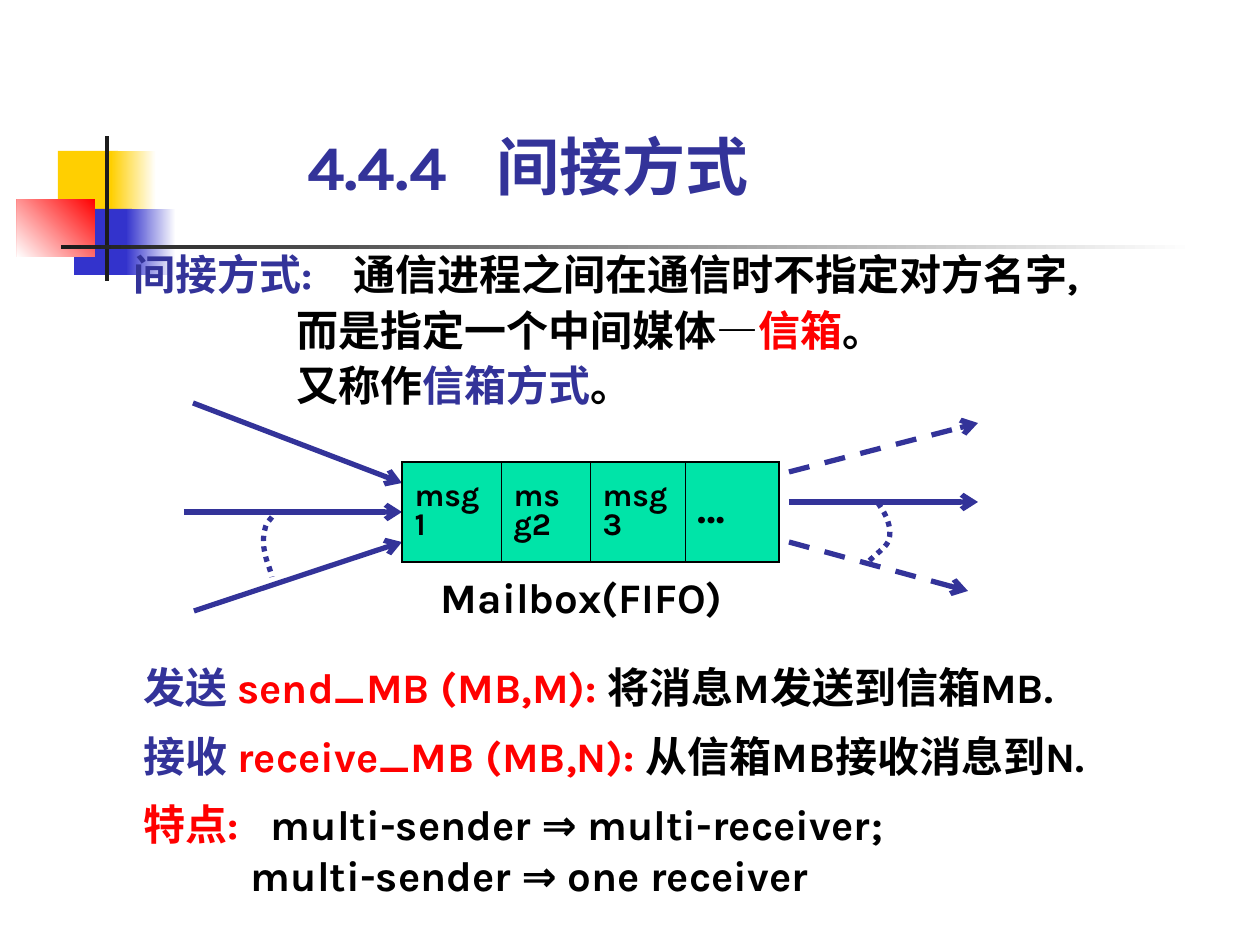
from lxml import etree
from pptx import Presentation
from pptx import util as u
from pptx.dml.color import RGBColor
from pptx.enum import dml, shapes, text
from pptx.oxml import ns

PX = 914400 / 126
FONT = "Karla"
NAVY, RED, BLACK, WHITE = "333399", "FF0000", "000000", "FFFFFF"
GOLD, BLUE, DARK, GREEN = "FFCF01", "3333CC", "1C1C1C", "00E4A8"


def px(*vals):
    """Turn pixel lengths into EMU."""
    return [u.Emu(round(v * PX)) for v in vals]


def hue(code):
    """Turn a hex string into a colour."""
    return RGBColor.from_string(code)


def sub(node, tag, **attrs):
    """Append a drawing element to a node."""
    child = etree.SubElement(node, ns.qn(tag))
    for key, val in attrs.items():
        child.set(key, str(val))
    return child


def style(run, size, code):
    """Format one run of text."""
    run.font.name, run.font.size, run.font.bold = FONT, u.Pt(size), True
    run.font.color.rgb = hue(code)


def block(slide, box, fill, angle=180):
    """Draw a plain box, with a gradient if two colours are given."""
    shape = slide.shapes.add_shape(shapes.MSO_SHAPE.RECTANGLE, *px(*box))
    shape.shadow.inherit = False
    shape.line.fill.background()
    if isinstance(fill, str):
        shape.fill.solid()
        shape.fill.fore_color.rgb = hue(fill)
        return
    shape.fill.gradient()
    shape.fill.gradient_angle = angle
    for stop, code in zip(shape.fill.gradient_stops, fill):
        stop.color.rgb = hue(code)


def write(frame, lines, size=24, space=1.0, indent=0, tab=0):
    """Fill a frame with lines of coloured runs, indenting all but the first."""
    frame.word_wrap = True
    frame.auto_size = text.MSO_AUTO_SIZE.NONE
    frame.margin_left = frame.margin_right = 0
    frame.margin_top = frame.margin_bottom = 0
    for row, parts in enumerate(lines):
        para = frame.add_paragraph() if row else frame.paragraphs[0]
        para.alignment = text.PP_ALIGN.LEFT
        para.line_spacing = space
        props = para._p.get_or_add_pPr()
        if row:
            props.set("marL", str(px(indent)[0]))
            props.set("indent", "0")
        elif tab:
            sub(sub(props, "a:tabLst"), "a:tab", pos=px(tab)[0], algn="l")
        for words, code in parts:
            run = para.add_run()
            run.text = words
            style(run, size, code)


def note(slide, box, lines, **kind):
    """Add a text box."""
    write(slide.shapes.add_textbox(*px(*box)).text_frame, lines, **kind)


def head(slide):
    """Place the title."""
    title = slide.shapes.title
    title.left, title.top, title.width, title.height = px(307, 127, 471, 76)
    title.text_frame.vertical_anchor = text.MSO_ANCHOR.BOTTOM
    write(title.text_frame, [[("4.4.4\t间接方式", NAVY)]], size=36, tab=189)


def pen(shape, dash=None):
    """Set the line of an arrow or arc."""
    shape.line.color.rgb = hue(NAVY)
    shape.line.width = u.Pt(3)
    if dash:
        shape.line.dash_style = dash


def arrow(group, ends, dash=None):
    """Draw an arrow between two points."""
    line = group.shapes.add_connector(shapes.MSO_CONNECTOR.STRAIGHT, *px(*ends))
    pen(line, dash)
    sub(line.line._get_or_add_ln(), "a:tailEnd", type="arrow")
    sub(line._element.spPr, "a:effectLst")


def curve(knots, steps=8):
    """Sample a chain of cubic curves into points."""
    points = [knots[0]]
    for i in range(0, len(knots) - 1, 3):
        for k in range(1, steps + 1):
            t = k / steps
            mix = ((1 - t) ** 3, 3 * t * (1 - t) ** 2, 3 * t * t * (1 - t), t ** 3)
            points.append(tuple(sum(m * q[a] for m, q in zip(mix, knots[i:i + 4]))
                                for a in (0, 1)))
    return points


def arc(group, knots):
    """Draw a dotted open arc."""
    points = [px(*q) for q in curve(knots)]
    path = group.shapes.build_freeform(*points[0], scale=1.0)
    path.add_line_segments(points[1:], close=False)
    shape = path.convert_to_shape()
    shape.shadow.inherit = False
    shape.fill.background()
    pen(shape, dml.MSO_LINE.ROUND_DOT)


def flow(slide, arrows, knots):
    """Group the arrows of one side with their arc."""
    group = slide.shapes.add_group_shape()
    for ends, dash in arrows:
        arrow(group, ends, dash)
    arc(group, knots)


def edge(cell, thick):
    """Draw the cell borders, heavier on the named sides."""
    props = cell._tc.get_or_add_tcPr()
    for side in "LRTB":
        width = 1.08 if side in thick else 0.45
        line = sub(props, "a:ln" + side, w=u.Pt(width))
        sub(sub(line, "a:solidFill"), "a:srgbClr", val=BLACK)


def queue(slide, labels, widths):
    """Draw the mailbox as a one-row table."""
    frame = slide.shapes.add_table(1, len(labels), *px(402, 462, sum(widths), 100))
    table = frame.table
    table.first_row = table.horz_banding = False
    for i, (label, width) in enumerate(zip(labels, widths)):
        table.columns[i].width = px(width)[0]
        cell = table.cell(0, i)
        edge(cell, "TB" + "L" * (i == 0) + "R" * (i == len(labels) - 1))
        cell.fill.solid()
        cell.fill.fore_color.rgb = hue(GREEN)
        cell.vertical_anchor = text.MSO_ANCHOR.MIDDLE
        para = cell.text_frame.paragraphs[0]
        para.text = label
        para.line_spacing = 0.8
        style(para.runs[0], 24 if label == "…" else 18, BLACK)


def main():
    """Build the slide."""
    deck = Presentation()
    deck.slide_width, deck.slide_height = px(1260, 945)
    slide = deck.slides.add_slide(deck.slide_layouts[5])
    head(slide)

    block(slide, (58, 151, 60, 66), GOLD)
    block(slide, (111, 151, 45, 66), (WHITE, GOLD))
    block(slide, (74, 209, 58, 66), BLUE)
    block(slide, (126, 209, 50, 66), (WHITE, BLUE))
    block(slide, (17, 199, 78, 58), (RED, WHITE), angle=225)
    block(slide, (105, 136, 4, 145), DARK)
    block(slide, (61, 245, 1134, 4), (WHITE, DARK))

    note(slide, (441, 581, 318, 40), [[("Mailbox(FIFO)", BLACK)]], space=0.8)
    calls = [("发送 ", "send_MB (MB,M): ", "将消息M发送到信箱MB."),
             ("接收 ", "receive_MB (MB,N): ", "从信箱MB接收消息到N.")]
    for i, parts in enumerate(calls):
        note(slide, (144, 662 + 69 * i, 996, 50), [list(zip(parts, (NAVY, RED, BLACK)))])
    note(slide, (144, 799, 794, 101),
         [[("特点:\t", RED), ("multi-sender ⇒ multi-receiver;", BLACK)],
          [("multi-sender ⇒ one receiver", BLACK)]], indent=107, tab=127)
    note(slide, (134, 244, 973, 166),
         [[("间接方式:\t", NAVY), ("通信进程之间在通信时不指定对方名字,", BLACK)],
          [("而是指定一个中间媒体—", BLACK), ("信箱", RED), ("。", BLACK)],
          [("又称作", BLACK), ("信箱方式", NAVY), ("。", BLACK)]],
         space=1.1, indent=163, tab=220)

    dash = dml.MSO_LINE.DASH
    flow(slide, [((193, 403, 402, 483), None), ((184, 512, 402, 512), None),
                 ((194, 611, 402, 542), None)],
         [(272, 517), (270, 520, ), (266, 523), (265, 529), (263, 536),
          (263, 546), (265, 553), (266, 561), (270, 568), (272, 577)])
    flow(slide, [((789, 472, 978, 423), dash), ((789, 502, 978, 502), None),
                 ((789, 542, 968, 591), dash)],
         [(878, 503), (882, 509), (886, 515), (888, 522), (890, 528),
          (891, 535), (888, 542), (885, 548), (876, 554), (868, 562)])
    queue(slide, ("msg1", "msg2", "msg3", "…"), (99, 89, 95, 94))
    deck.save("out.pptx")


if __name__ == "__main__":
    main()
